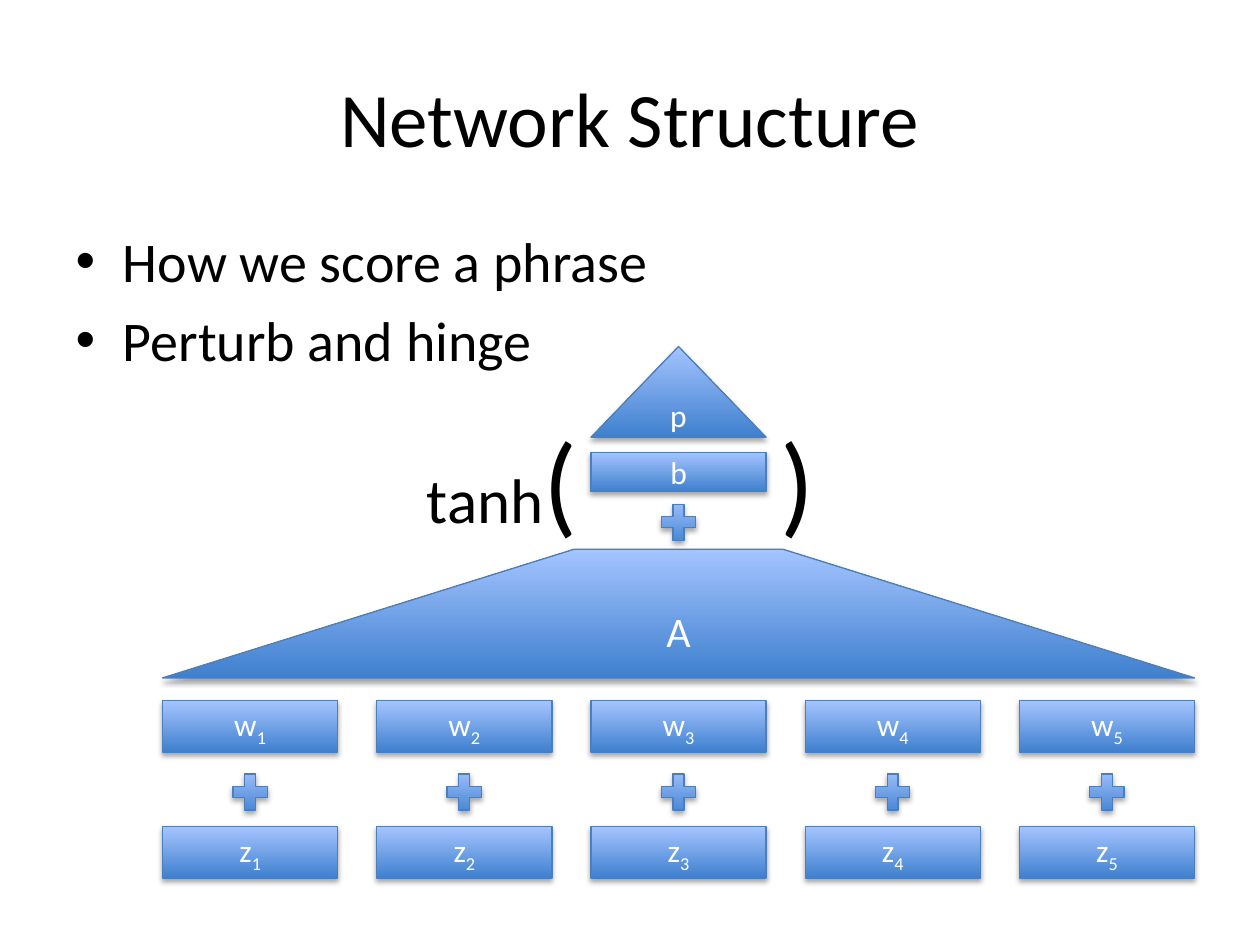
from lxml import etree
from pptx import Presentation
from pptx.dml.color import RGBColor
from pptx.enum.shapes import MSO_SHAPE
from pptx.enum.text import MSO_ANCHOR, MSO_AUTO_SIZE, PP_ALIGN
from pptx.oxml import parse_xml
from pptx.oxml.ns import nsdecls, qn
from pptx.util import Inches, Pt

RECTANGLE = MSO_SHAPE.RECTANGLE
TRIANGLE = MSO_SHAPE.ISOSCELES_TRIANGLE
TRAPEZOID = MSO_SHAPE.TRAPEZOID
PLUS = MSO_SHAPE.MATH_PLUS
CENTER = PP_ALIGN.CENTER
MIDDLE = MSO_ANCHOR.MIDDLE

FONT = "Calibri"
COLORS = {
    "text": "000000",
    "label": "FFFFFF",
    "outline": "4B7EBC",
    "dark": "3F80CE",
    "light": "A4C4FF",
    "shadow": "000000",
}
SHADOW_XML = (
    f'<a:outerShdw {nsdecls("a")} blurRad="{Pt(3.1)}" dist="{Pt(1.8)}" '
    'dir="5400000" rotWithShape="0">'
    f'<a:srgbClr val="{COLORS["shadow"]}"><a:alpha val="35000"/></a:srgbClr>'
    '</a:outerShdw>'
)


def add_run(paragraph, text, size, color, subscript=False):
    run = paragraph.add_run()
    run.text = text
    run.font.name = FONT
    run.font.size = Pt(size)
    run.font.color.rgb = RGBColor.from_string(COLORS[color])
    if subscript:
        run._r.get_or_add_rPr().set("baseline", "-25000")


def add_block(kind, left, top, width, height, label="", index="", size=18):
    block = slide.shapes.add_shape(
        kind, Inches(left), Inches(top), Inches(width), Inches(height))
    block.fill.gradient()
    block.fill.gradient_angle = 90
    for stop, shade in zip(block.fill.gradient_stops, ("dark", "light")):
        stop.color.rgb = RGBColor.from_string(COLORS[shade])
    block.line.color.rgb = RGBColor.from_string(COLORS["outline"])
    block.line.width = Pt(0.75)
    block.shadow.inherit = False
    block._element.spPr.find(qn("a:effectLst")).append(parse_xml(SHADOW_XML))
    if label:
        block.text_frame.vertical_anchor = MIDDLE
        paragraph = block.text_frame.paragraphs[0]
        paragraph.alignment = CENTER
        add_run(paragraph, label, size, "label")
        if index:
            add_run(paragraph, index, size, "label", subscript=True)
    return block


prs = Presentation()
prs.slide_width = Inches(10)
prs.slide_height = Inches(7.5)
slide = prs.slides.add_slide(prs.slide_layouts[1])

title = slide.shapes.title
title.left, title.top = Inches(0.5), Inches(0.3)
title.width, title.height = Inches(9), Inches(1.25)
title.text_frame.vertical_anchor = MIDDLE
heading = title.text_frame.paragraphs[0]
heading.alignment = CENTER
add_run(heading, "Network Structure", 44, "text")

points = slide.placeholders[1]
points.left, points.top = Inches(0.5), Inches(1.75)
points.width, points.height = Inches(9), Inches(4.95)
frame = points.text_frame
for number, point in enumerate(("How we score a phrase", "Perturb and hinge")):
    paragraph = frame.add_paragraph() if number else frame.paragraphs[0]
    add_run(paragraph, point, 32, "text")

FIRST_LEFT, COLUMN_STEP = 1.29, 1.7
BLOCK_WIDTH, BLOCK_HEIGHT = 1.39, 0.41
PLUS_WIDTH, PLUS_HEIGHT = 0.37, 0.39
plus_offset = (BLOCK_WIDTH - PLUS_WIDTH) / 2
middle_left = FIRST_LEFT + 2 * COLUMN_STEP

for column in range(5):
    left = FIRST_LEFT + column * COLUMN_STEP
    for letter, top in (("w", 5.56), ("z", 6.56)):
        add_block(RECTANGLE, left, top, BLOCK_WIDTH, BLOCK_HEIGHT,
                  letter, str(column + 1))
    add_block(PLUS, left + plus_offset, 6.09, PLUS_WIDTH, PLUS_HEIGHT)

matrix = add_block(TRAPEZOID, FIRST_LEFT, 4.36,
                   4 * COLUMN_STEP + BLOCK_WIDTH, 1.02, "A", size=24)
matrix.adjustments[0] = 3.2
add_block(RECTANGLE, middle_left, 3.59, BLOCK_WIDTH, 0.31, "b")
add_block(TRIANGLE, middle_left, 2.75, BLOCK_WIDTH, 0.72, "p")

activation = slide.shapes.add_textbox(
    Inches(3.29), Inches(3.22), Inches(4.4), Inches(1.18))
activation.text_frame.word_wrap = True
activation.text_frame.auto_size = MSO_AUTO_SIZE.SHAPE_TO_FIT_TEXT
formula = activation.text_frame.paragraphs[0]
tab_stops = etree.SubElement(formula._p.get_or_add_pPr(), qn("a:tabLst"))
etree.SubElement(tab_stops, qn("a:tab"), pos=str(Inches(2.81)), algn="l")
add_run(formula, "tanh", 36, "text")
add_run(formula, "(\t)", 64, "text")

add_block(PLUS, middle_left + plus_offset, 3.95, PLUS_WIDTH, PLUS_HEIGHT)

prs.save("out.pptx")
